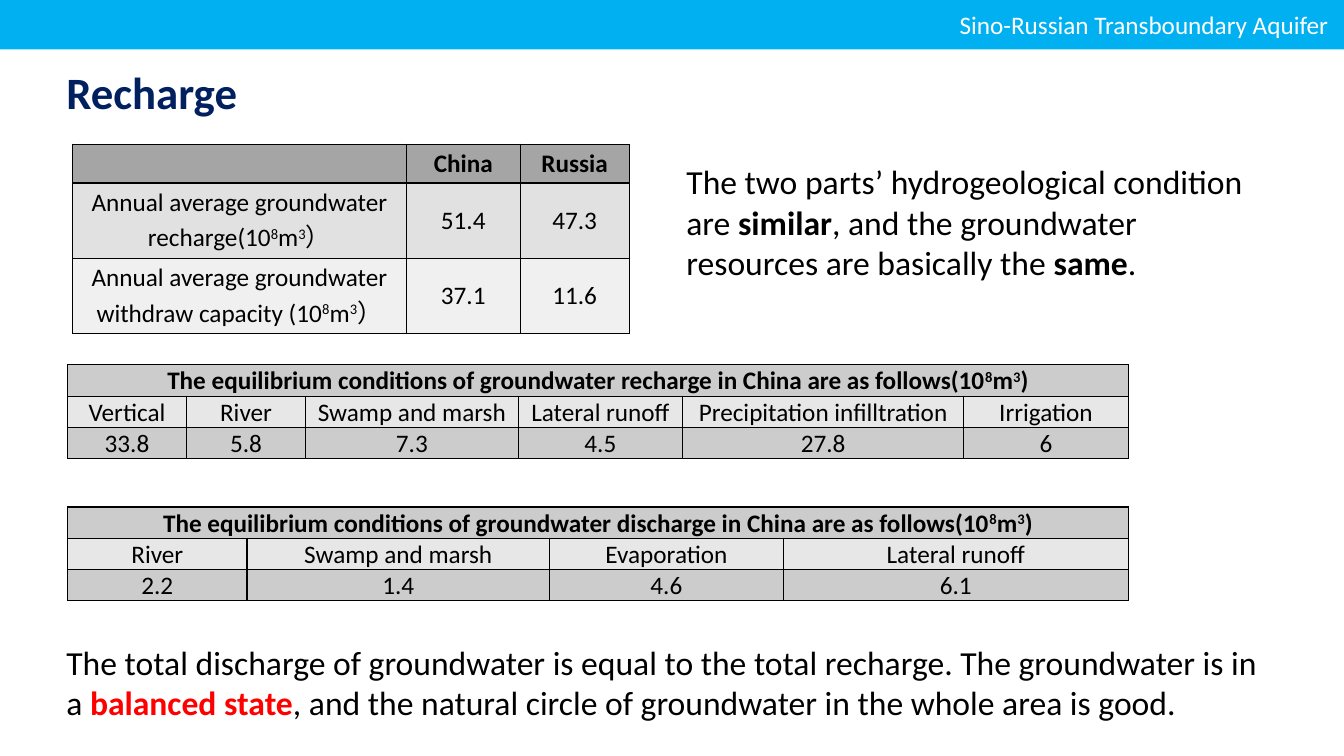
"""Build the groundwater recharge slide."""
from dataclasses import dataclass

from pptx import Presentation
from pptx import util as u
from pptx.dml.color import RGBColor
from pptx.enum import shapes, text
from pptx.oxml import parse_xml
from pptx.oxml.ns import nsdecls


@dataclass(frozen=True)
class Theme:
    """Colours, font and type sizes of the slide."""
    font: str = "Calibri"
    title_size: int = 32
    body_size: int = 24
    small_size: int = 18
    bar: str = "00B0F0"
    title: str = "002060"
    ink: str = "000000"
    white: str = "FFFFFF"
    accent: str = "FF0000"
    comparison_fills: tuple = ("A5A5A5", "E1E1E1", "F0F0F0")
    balance_fills: tuple = ("CCCCCC", "E7E7E7", "CCCCCC")


THEME = Theme()
BOLD = {"bold": True}
VOLUME = (("8", {"raised": True}), "m", ("3", {"raised": True}))
CENTER = text.PP_ALIGN.CENTER
MIDDLE = text.MSO_ANCHOR.MIDDLE


def write_text(frame, content, size=THEME.small_size, color=THEME.ink, bold=False,
               align=None, anchor=text.MSO_ANCHOR.TOP, line_spacing=None):
    """Write a string, or a sequence of strings and (string, format) pairs, as one paragraph."""
    frame.word_wrap = True
    frame.vertical_anchor = anchor
    paragraph = frame.paragraphs[0]
    paragraph.alignment = align
    paragraph.line_spacing = line_spacing
    for part in (content,) if isinstance(content, str) else content:
        words, style = (part, {}) if isinstance(part, str) else part
        run = paragraph.add_run()
        run.text = words
        run.font.name = THEME.font
        run.font.size = u.Pt(size)
        run.font.bold = style.get("bold", bold)
        run.font.color.rgb = RGBColor.from_string(style.get("color", color))
        if style.get("raised"):
            run.font._element.set("baseline", "30000")


def add_text(slide, box, content, **style):
    """Place a text box in the given box."""
    shape = slide.shapes.add_textbox(*map(u.Inches, box))
    write_text(shape.text_frame, content, **style)


def add_header(slide, box):
    """Draw the coloured bar with the running title."""
    shape = slide.shapes.add_shape(shapes.MSO_SHAPE.RECTANGLE, *map(u.Inches, box))
    shape.shadow.inherit = False
    shape.fill.solid()
    shape.fill.fore_color.rgb = RGBColor.from_string(THEME.bar)
    shape.line.fill.background()
    write_text(shape.text_frame, "Sino-Russian Transboundary Aquifer ",
               color=THEME.white, align=text.PP_ALIGN.RIGHT, anchor=MIDDLE)


def style_cell(cell, fill, margins):
    """Give a cell its margins, thin border and fill."""
    (cell.margin_left, cell.margin_top,
     cell.margin_right, cell.margin_bottom) = map(u.Inches, margins)
    properties = cell._tc.get_or_add_tcPr()
    for side in ("lnL", "lnR", "lnT", "lnB"):
        properties.append(parse_xml(
            f'<a:{side} {nsdecls("a")} w="{u.Pt(1)}"><a:solidFill>'
            f'<a:srgbClr val="{THEME.ink}"/></a:solidFill></a:{side}>'))
    cell.fill.solid()
    cell.fill.fore_color.rgb = RGBColor.from_string(fill)


def add_grid(slide, origin, widths, heights, rows, fills, margins):
    """Draw a table with a bold first row; a lone first cell spans the table."""
    size = sum(widths), sum(heights)
    table = slide.shapes.add_table(
        len(rows), len(widths), *map(u.Inches, (*origin, *size))).table
    for column, width in zip(table.columns, widths):
        column.width = u.Inches(width)
    for index, (row, height, values, fill) in enumerate(
            zip(table.rows, heights, rows, fills)):
        row.height = u.Inches(height)
        for cell in row.cells:
            style_cell(cell, fill, margins)
        if len(values) == 1:
            row.cells[0].merge(row.cells[len(widths) - 1])
        for cell, value in zip(row.cells, values):
            write_text(cell.text_frame, value, bold=index == 0, align=CENTER)
            cell.vertical_anchor = MIDDLE


def add_comparison(slide, origin):
    """Draw the table that compares China and Russia."""
    rows = [
        ("", "China", "Russia"),
        (("Annual average groundwater recharge(10", *VOLUME, "）"), "51.4", "47.3"),
        (("Annual average groundwater withdraw capacity (10", *VOLUME, "）"),
         "37.1", "11.6"),
    ]
    add_grid(slide, origin, (3.31, 1.13, 1.08), (0.38, 0.74, 0.74), rows,
             THEME.comparison_fills, (0.07, 0.04, 0.07, 0.04))


def add_balance(slide, origin, flow, widths, amounts):
    """Draw a table of the amounts that make up one flow in China."""
    heading = (f"The equilibrium conditions of groundwater {flow} "
               "in China are as follows(10", *VOLUME, ")")
    add_grid(slide, origin, widths, (0.31,) * 3,
             [(heading,), tuple(amounts), tuple(amounts.values())],
             THEME.balance_fills, (0.01, 0.01, 0.01, 0))


def build_recharge_slide(presentation):
    """Add the recharge slide with its tables and statements."""
    slide = presentation.slides.add_slide(presentation.slide_layouts[6])
    add_comparison(slide, (0.72, 1.43))
    add_header(slide, (0, 0, 13.33, 0.49))
    add_text(slide, (0.56, 0.65, 6.46, 0.59), "Recharge", size=THEME.title_size,
             color=THEME.title, bold=True, anchor=MIDDLE, line_spacing=0.9)
    add_text(slide, (6.71, 1.55, 6.03, 1.31),
             ("The two parts’ hydrogeological condition are ", ("similar", BOLD),
              ", and the groundwater resources are basically the ", ("same", BOLD), "."),
             size=THEME.body_size)
    add_text(slide, (0.56, 6.32, 12.21, 0.91),
             ("The total discharge of groundwater is equal to the total recharge. "
              "The groundwater is in a ",
              ("balanced state", {"bold": True, "color": THEME.accent}),
              ", and the natural circle of groundwater in the whole area is good."),
             size=THEME.body_size)
    add_balance(slide, (0.67, 3.62), "recharge", (1.18, 1.18, 2.11, 1.63, 2.79, 1.63),
                {"Vertical": "33.8", "River": "5.8", "Swamp and marsh": "7.3",
                 "Lateral runoff": "4.5", "Precipitation infilltration": "27.8",
                 "Irrigation": "6"})
    add_balance(slide, (0.67, 5.03), "discharge", (1.78, 3, 2.32, 3.42),
                {"River": "2.2", "Swamp and marsh": "1.4", "Evaporation": "4.6",
                 "Lateral runoff": "6.1"})


def main():
    """Create and save the presentation."""
    presentation = Presentation()
    presentation.slide_width = u.Inches(13.33)
    presentation.slide_height = u.Inches(7.5)
    build_recharge_slide(presentation)
    presentation.save("out.pptx")


if __name__ == "__main__":
    main()
